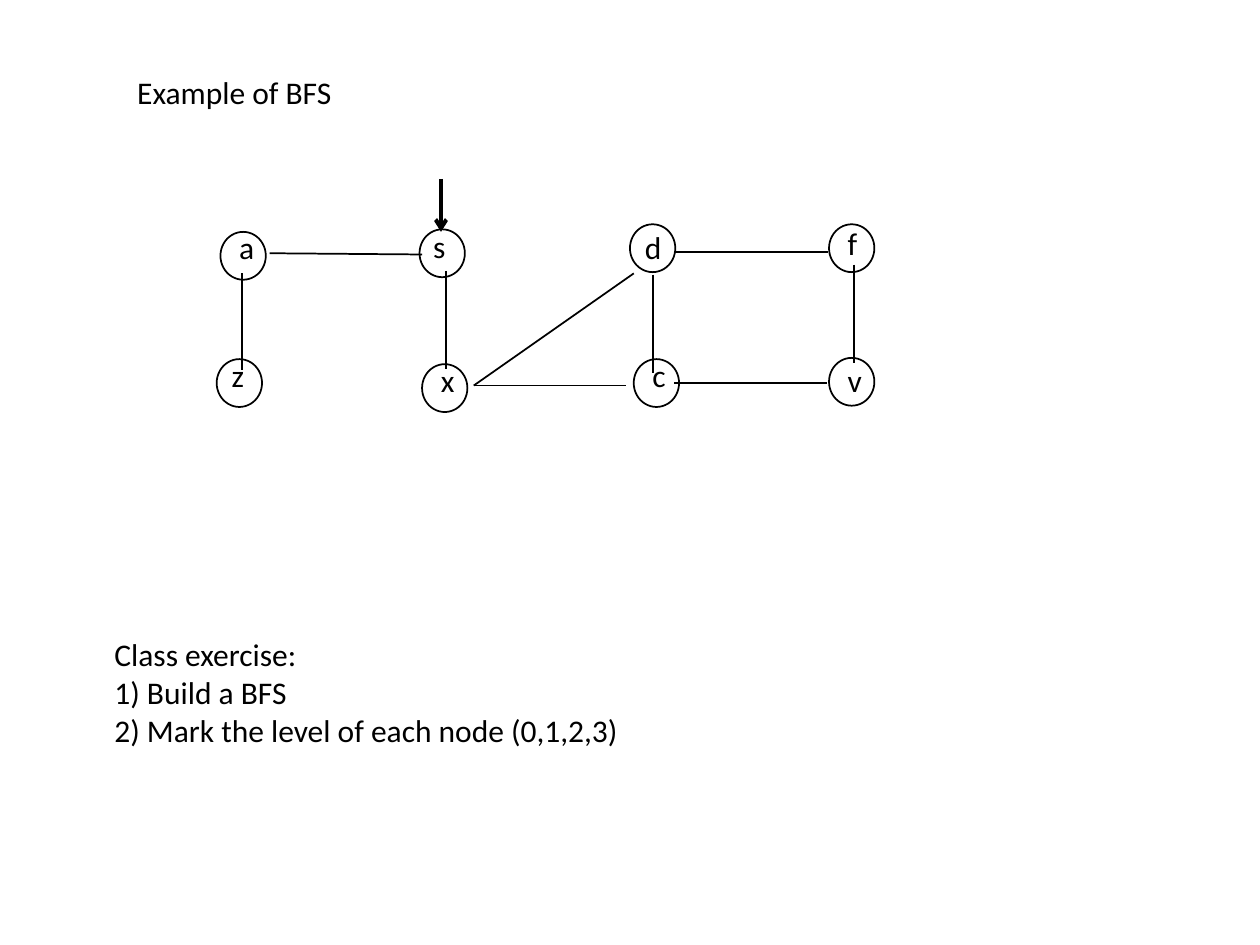
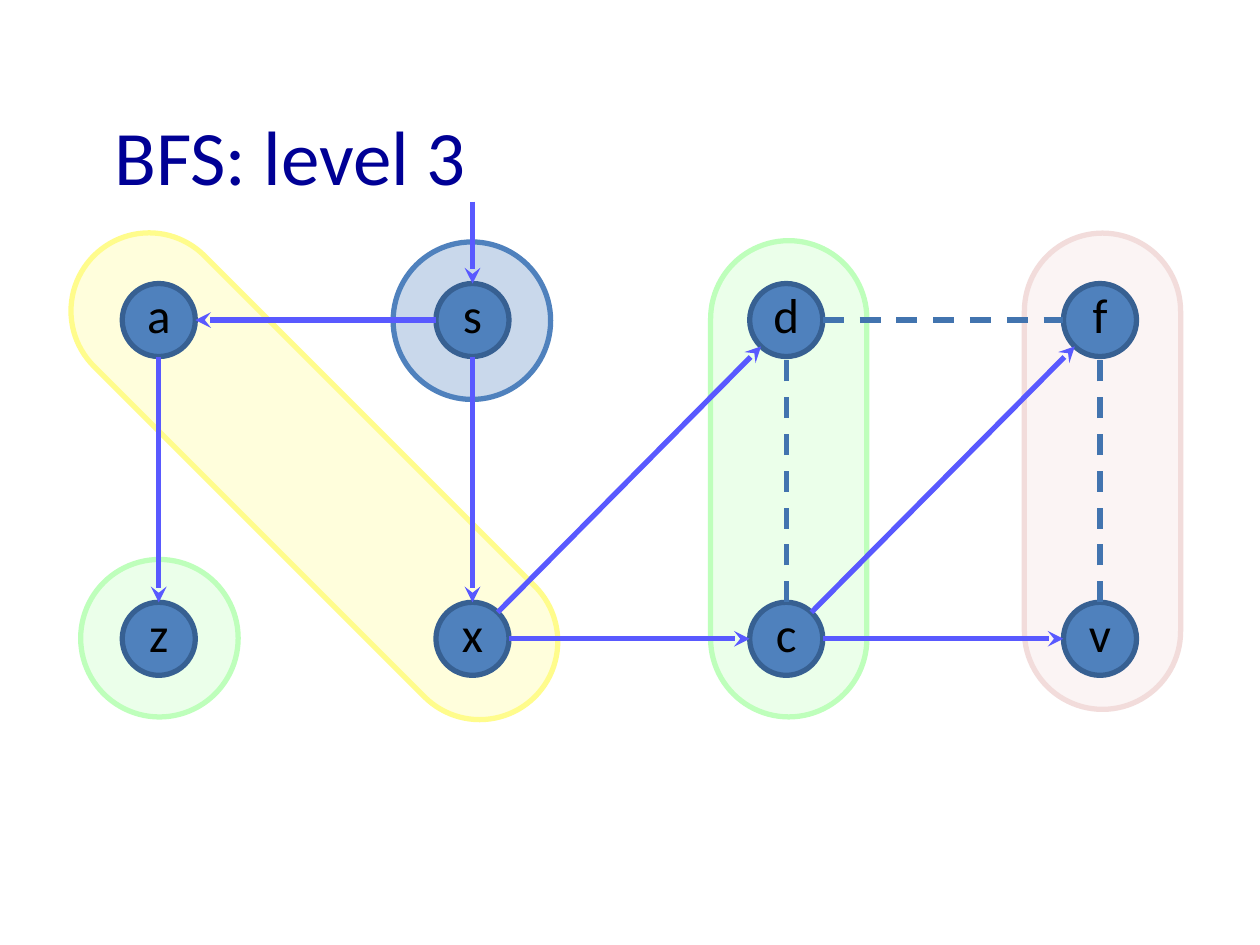
"""Build two slides on breadth-first search: an exercise and its solved graph."""
from dataclasses import dataclass
from math import hypot

from lxml import etree
from pptx import Presentation
from pptx.dml.color import RGBColor
from pptx.enum.dml import MSO_LINE
from pptx.enum.shapes import MSO_CONNECTOR, MSO_SHAPE
from pptx.enum.text import MSO_ANCHOR, PP_ALIGN
from pptx.oxml.ns import qn
from pptx.util import Pt

PX = 9144
FONT = "Calibri"
BLACK, NAVY, BLUE, DARK_BLUE = "000000", "000095", "4F81BD", "376092"
TREE_BLUE, CROSS_BLUE = "5959FF", "4274AF"
GREEN, YELLOW, PINK = "BEFFBB", "FFFC8C", "F2DCDB"
OVAL, CAPSULE = MSO_SHAPE.OVAL, MSO_SHAPE.ROUNDED_RECTANGLE
STRAIGHT, DASH = MSO_CONNECTOR.STRAIGHT, MSO_LINE.DASH
MIDDLE, TOP = MSO_ANCHOR.MIDDLE, MSO_ANCHOR.TOP
CENTER, LEFT = PP_ALIGN.CENTER, PP_ALIGN.LEFT
NODE_RADIUS = 29
COLUMNS = [126 + 249 * i for i in range(4)]
ROWS = [254, 507]
CENTRES = {
    label: (x, y)
    for labels, y in zip(("asdf", "zxcv"), ROWS)
    for label, x in zip(labels, COLUMNS)
}


@dataclass(frozen=True)
class SketchNode:
    """A hollow node and its separately placed letter."""
    label: str
    circle: tuple[int, int]
    letter: tuple[int, int]


@dataclass(frozen=True)
class LevelZone:
    """A translucent area around the nodes of one search level."""
    box: tuple[int, int, int, int]
    color: str
    rotation: int = 0


SKETCH_NODES = [
    SketchNode("a", (175, 184), (180, 176)),
    SketchNode("s", (333, 182), (334, 175)),
    SketchNode("d", (500, 178), (502, 176)),
    SketchNode("f", (658, 178), (663, 173)),
    SketchNode("z", (172, 285), (174, 278)),
    SketchNode("x", (335, 289), (340, 282)),
    SketchNode("c", (503, 285), (508, 278)),
    SketchNode("v", (658, 284), (663, 282)),
]
SKETCH_EDGES = [
    (536, 200, 657, 200), (535, 304, 656, 304), (214, 201, 335, 202),
    (376, 306, 497, 306), (354, 215, 354, 293), (192, 217, 192, 294),
    (518, 218, 518, 296), (503, 217, 376, 306), (678, 210, 678, 288),
]
LEVEL_ZONES = [
    LevelZone((312, 192, 125, 125), BLUE),
    LevelZone((437, 318, 378, 124), GREEN, 90),
    LevelZone((64, 444, 125, 125), GREEN),
    LevelZone((2, 316, 495, 124), YELLOW, 45),
    LevelZone((686, 312, 378, 124), PINK, 90),
]
TREE_EDGES = ["sx", "sa", "az", "xc", "xd", "cv", "cf"]
CROSS_EDGES = ["cd", "df", "vf"]


def rgb(color: str) -> RGBColor:
    """Turn a hex string into a colour."""
    return RGBColor.from_string(color)


def emu(*lengths: int) -> list[int]:
    """Scale pixel lengths to EMU."""
    return [length * PX for length in lengths]


def write(shape, lines: list[str], size: int, color: str = BLACK,
          anchor=TOP, align=LEFT) -> None:
    """Set the text of a shape and format each line."""
    frame = shape.text_frame
    frame.word_wrap = True
    frame.vertical_anchor = anchor
    frame.text = "\n".join(lines)
    for paragraph in frame.paragraphs:
        paragraph.alignment = align
        font = paragraph.runs[0].font
        font.name, font.size = FONT, Pt(size)
        font.color.rgb = rgb(color)


def add_text(slide, box: tuple[int, int, int, int], lines: list[str],
             size: int = 18, color: str = BLACK, anchor=TOP) -> None:
    """Add a left-aligned text box."""
    write(slide.shapes.add_textbox(*emu(*box)), lines, size, color, anchor)


def add_outline(slide, kind, box: tuple[int, int, int, int], color: str,
                width: float, fill: str | None = None):
    """Add a preset shape with a line and an optional fill."""
    shape = slide.shapes.add_shape(kind, *emu(*box))
    shape.shadow.inherit = False
    shape.line.color.rgb = rgb(color)
    shape.line.width = Pt(width)
    if fill:
        shape.fill.solid()
        shape.fill.fore_color.rgb = rgb(fill)
    else:
        shape.fill.background()
    return shape


def add_edge(slide, ends: tuple[int, int, int, int], color: str = BLACK,
             width: float = 1, head: str = "", dashed: bool = False) -> None:
    """Add a straight edge, dashed or with an arrowhead if asked."""
    edge = slide.shapes.add_connector(STRAIGHT, *emu(*ends))
    edge.line.color.rgb = rgb(color)
    edge.line.width = Pt(width)
    if dashed:
        edge.line.dash_style = DASH
    if head:
        etree.SubElement(edge.line._get_or_add_ln(), qn("a:tailEnd"), type=head)
    etree.SubElement(edge._element.spPr, qn("a:effectLst"))


def add_zone(slide, zone: LevelZone) -> None:
    """Add a round or capsule-shaped level zone at 30 percent opacity."""
    left, top, width, height = zone.box
    kind = OVAL if width == height else CAPSULE
    area = add_outline(slide, kind, zone.box, zone.color, 3, zone.color)
    area.rotation = zone.rotation
    if kind == CAPSULE:
        area.adjustments[0] = 0.5
    fill_color = area._element.spPr.find(qn("a:solidFill"))[0]
    etree.SubElement(fill_color, qn("a:alpha"), val="30000")


def add_node(slide, label: str) -> None:
    """Add a filled, lettered node on the grid."""
    x, y = CENTRES[label]
    size = 2 * NODE_RADIUS
    box = (x - NODE_RADIUS, y - NODE_RADIUS, size, size)
    node = add_outline(slide, OVAL, box, DARK_BLUE, 3, BLUE)
    frame = node.text_frame
    frame.margin_left = frame.margin_top = frame.margin_right = 0
    frame.margin_bottom = 10 * PX
    write(node, [label], 28, BLACK, MIDDLE, CENTER)


def border_ends(pair: str) -> tuple[int, int, int, int]:
    """Find where the edge between two grid nodes meets their borders."""
    (x1, y1), (x2, y2) = (CENTRES[label] for label in pair)
    reach = NODE_RADIUS / hypot(x2 - x1, y2 - y1)
    dx, dy = round((x2 - x1) * reach), round((y2 - y1) * reach)
    return x1 + dx, y1 + dy, x2 - dx, y2 - dy


def build_exercise(slide) -> None:
    """Draw the unsolved graph with its task."""
    add_text(slide, (99, 53, 319, 64), ["Example of BFS"])
    for node in SKETCH_NODES:
        add_outline(slide, OVAL, (*node.circle, 36, 38), BLACK, 1)
    for node in SKETCH_NODES:
        add_text(slide, (*node.letter, 44, 64), [node.label])
    add_edge(slide, (350, 142, 350, 184), width=2.25, head="arrow")
    for ends in SKETCH_EDGES:
        add_edge(slide, ends)
    add_text(slide, (81, 499, 430, 131), [
        "Class exercise:",
        "1) Build a BFS",
        "2) Mark the level of each node (0,1,2,3)",
    ])


def build_levels(slide) -> None:
    """Draw the search tree with its level zones."""
    for zone in LEVEL_ZONES:
        add_zone(slide, zone)
    add_text(slide, (81, 60, 825, 125), ["BFS: level 3"], 44, NAVY, MIDDLE)
    for label in CENTRES:
        add_node(slide, label)
    for pair in CROSS_EDGES:
        add_edge(slide, border_ends(pair), CROSS_BLUE, 3, dashed=True)
    start_x, start_y = CENTRES["s"]
    start_arrow = (start_x, 160, start_x, start_y - NODE_RADIUS)
    for ends in [*map(border_ends, TREE_EDGES), start_arrow]:
        add_edge(slide, ends, TREE_BLUE, 3, head="stealth")


def main() -> None:
    """Build and save the presentation."""
    deck = Presentation()
    deck.slide_width, deck.slide_height = emu(1000, 750)
    blank = deck.slide_layouts[6]
    for build in (build_exercise, build_levels):
        build(deck.slides.add_slide(blank))
    deck.save("out.pptx")


if __name__ == "__main__":
    main()
